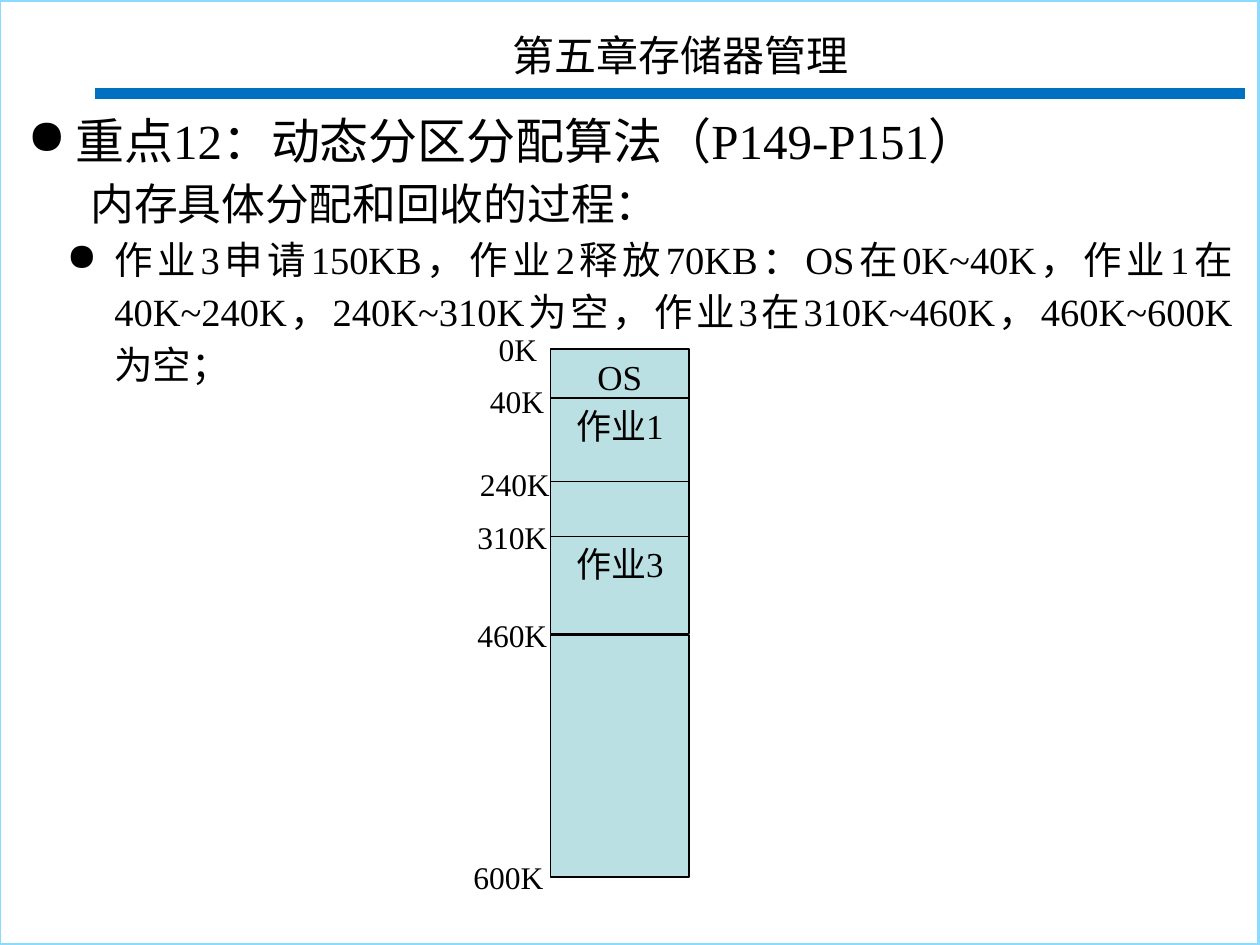
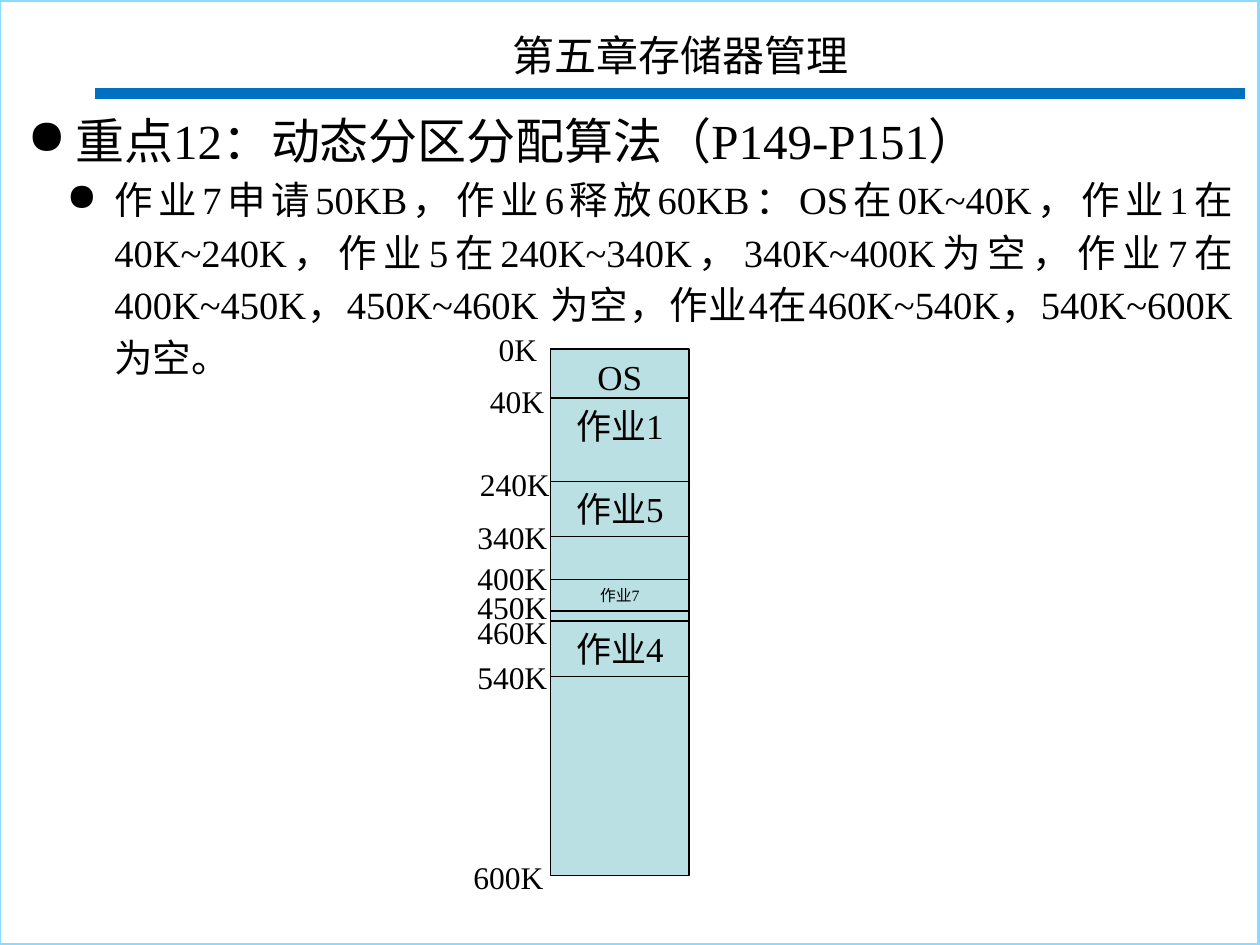
from lxml import etree
from pptx import Presentation
from pptx import util as u
from pptx.dml import color
from pptx.enum import shapes, text
from pptx.oxml import ns

COLORS = {"ink": "000000", "frame": "8ADBFF", "rule": "0070C0", "block": "BBE0E3"}
HEADING = "重点12：动态分区分配算法（P149-P151）"
LABEL_LEFTS = {"0K": 3.86, "40K": 3.79, "240K": 3.71, "600K": 3.66}
BLOCK_LEFT, BLOCK_WIDTH = 4.37, 1.1

SHARED_BLOCKS = [(2.77, 0.44, "OS", 20), (3.16, 0.77, "作业1", 20)]
SHARED_LABELS = {"0K": 2.57, "40K": 2.98, "240K": 3.64, "600K": 6.76}


class MemoryDeck:
    """Holds the shared style and the slide being drawn."""

    def __init__(self):
        self.deck = Presentation()
        self.deck.slide_width, self.deck.slide_height = u.Inches(10), u.Inches(7.5)
        self.slide = None

    def rgb(self, name):
        return color.RGBColor.from_string(COLORS[name])

    def style(self, paragraph, size, align=text.PP_ALIGN.LEFT, spacing=1.0):
        paragraph.alignment = align
        paragraph.line_spacing = spacing
        paragraph.font.size = u.Pt(size)
        paragraph.font.name = "Times New Roman"
        paragraph.font.color.rgb = self.rgb("ink")

    def rectangle(self, left, top, width, height, line, weight, fill=None):
        box = self.slide.shapes.add_shape(
            shapes.MSO_SHAPE.RECTANGLE, *map(u.Inches, (left, top, width, height)))
        box.shadow.inherit = False
        if fill:
            box.fill.solid()
            box.fill.fore_color.rgb = self.rgb(fill)
        else:
            box.fill.background()
        box.line.color.rgb = self.rgb(line)
        box.line.width = u.Pt(weight)
        return box

    def text_frame(self, left, top, width, height, wrap=True):
        frame = self.slide.shapes.add_textbox(
            *map(u.Inches, (left, top, width, height))).text_frame
        frame.word_wrap = wrap
        return frame

    def rule(self, left, right, y):
        line = self.slide.shapes.add_connector(
            shapes.MSO_CONNECTOR.STRAIGHT, *map(u.Inches, (left, y, right, y)))
        line.line.color.rgb = self.rgb("rule")
        line.line.width = u.Pt(6.25)
        etree.SubElement(line._element.spPr, ns.qn("a:effectLst"))

    def start_slide(self):
        self.slide = self.deck.slides.add_slide(self.deck.slide_layouts[6])
        self.rectangle(-0.01, 0, 10, 7.5, "frame", 2.25)
        self.rule(0.75, 9.88, 0.74)
        title = self.text_frame(0.91, 0.06, 8.98, 0.63)
        title.vertical_anchor = text.MSO_ANCHOR.MIDDLE
        title.paragraphs[0].text = "第五章存储器管理"
        self.style(title.paragraphs[0], 24, text.PP_ALIGN.CENTER, 1.3)

    def indent(self, paragraph, margin, first, bullet):
        props = paragraph._p.get_or_add_pPr()
        props.set("marL", str(u.Inches(margin)))
        props.set("indent", str(u.Inches(first)))
        if bullet:
            mark = etree.Element(ns.qn("a:buChar"), char="●")
            props.find(ns.qn("a:defRPr")).addprevious(mark)

    def body(self, step, intro=None):
        justify = text.PP_ALIGN.JUSTIFY
        rows = [(HEADING, 28, text.PP_ALIGN.LEFT, 1.0, 0.38, -0.38, True)]
        if intro:
            rows.append((intro, 25, justify, 1.14, 0.5, 0, False))
        rows.append((step, 22, justify, 1.14, 0.69, -0.38, True))
        frame = self.text_frame(0.12, 0.83, 9.76, 6.23)
        for number, (words, size, align, spacing, margin, first, bullet) in enumerate(rows):
            paragraph = frame.add_paragraph() if number else frame.paragraphs[0]
            paragraph.text = words
            self.style(paragraph, size, align, spacing)
            self.indent(paragraph, margin, first, bullet)

    def block(self, top, height, owner="", size=20):
        partition = self.rectangle(
            BLOCK_LEFT, top, BLOCK_WIDTH, height, "ink", 0.75, "block")
        if owner:
            frame = partition.text_frame
            frame.vertical_anchor = text.MSO_ANCHOR.TOP
            frame.paragraphs[0].text = owner
            self.style(frame.paragraphs[0], size, text.PP_ALIGN.CENTER)

    def address(self, label, top):
        width = 0.51 + 0.125 * (len(label) - 2)
        frame = self.text_frame(LABEL_LEFTS.get(label, 3.69), top, width, 0.4, wrap=False)
        frame.auto_size = text.MSO_AUTO_SIZE.SHAPE_TO_FIT_TEXT
        frame.paragraphs[0].text = label
        self.style(frame.paragraphs[0], 18)

    def memory_slide(self, step, blocks, labels, intro=None):
        self.start_slide()
        self.body(step, intro)
        for partition in SHARED_BLOCKS + blocks:
            self.block(*partition)
        for label, top in (SHARED_LABELS | labels).items():
            self.address(label, top)


def main():
    memory = MemoryDeck()
    memory.memory_slide(
        "作业3申请150KB，作业2释放70KB：OS在0K~40K，作业1在40K~240K，"
        "240K~310K为空，作业3在310K~460K，460K~600K 为空；",
        [(3.82, 0.44), (4.26, 0.77, "作业3"), (5.04, 1.92)],
        {"310K": 4.06, "460K": 4.84},
        intro="内存具体分配和回收的过程：")
    memory.memory_slide(
        "作业7申请50KB，作业6释放60KB：OS在0K~40K，作业1在40K~240K，"
        "作业5在240K~340K，340K~400K为空，作业7在400K~450K，"
        "450K~460K 为空，作业4在460K~540K，540K~600K 为空。",
        [(4.77, 0.25), (3.82, 0.44, "作业5"), (5.37, 1.58), (4.26, 0.34),
         (4.6, 0.25, "作业7", 9), (4.93, 0.44, "作业4")],
        {"340K": 4.06, "400K": 4.39, "450K": 4.62, "460K": 4.82, "540K": 5.17})
    memory.deck.save("out.pptx")


if __name__ == "__main__":
    main()
